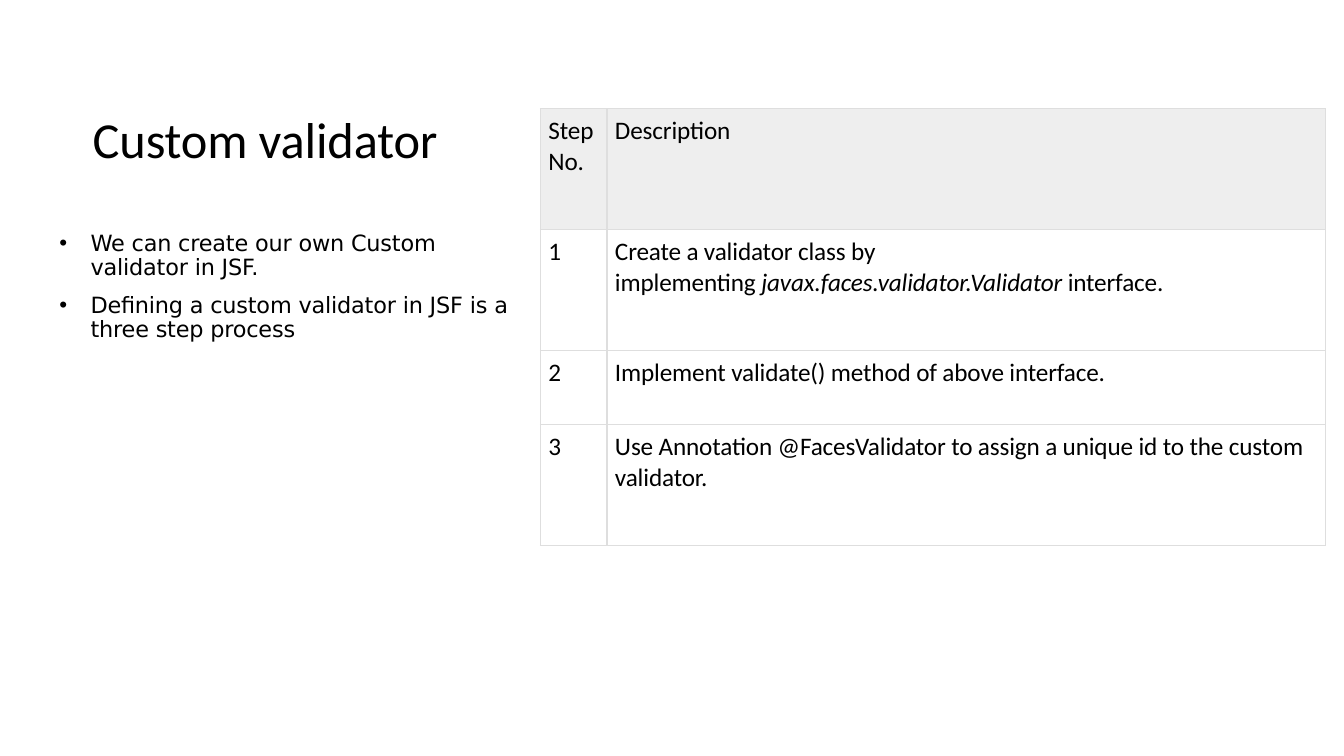
import pptx
import pptx.util
import pptx.dml.color
import pptx.enum.text
import pptx.oxml
import pptx.oxml.ns

PX = 9144
BLACK = pptx.dml.color.RGBColor(0x00, 0x00, 0x00)
WHITE = pptx.dml.color.RGBColor(0xFF, 0xFF, 0xFF)
HEADER_GREY = pptx.dml.color.RGBColor(0xEE, 0xEE, 0xEE)
BORDER_GREY = pptx.dml.color.RGBColor(0xDE, 0xDE, 0xDE)
NAMESPACE = pptx.oxml.ns.nsdecls("a")


def add_text(paragraph, text, font_name, size, italic=False):
    run = paragraph.add_run()
    run.text = text
    font_format = {"name": font_name, "size": pptx.util.Pt(size), "italic": italic}
    for name, value in font_format.items():
        setattr(run.font, name, value)
    run.font.color.rgb = BLACK
    run.font._element.set("spc", "-10")


def add_text_box(left, top, width, height, frame_format):
    box = slide.shapes.add_textbox(left * PX, top * PX, width * PX, height * PX)
    for name, value in frame_format.items():
        setattr(box.text_frame, name, value)
    return box.text_frame


presentation = pptx.Presentation()
presentation.slide_width = 1333 * PX
presentation.slide_height = 750 * PX
slide = presentation.slides.add_slide(presentation.slide_layouts[6])

title_format = {
    "word_wrap": True,
    "vertical_anchor": pptx.enum.text.MSO_ANCHOR.MIDDLE,
    "margin_left": 0,
    "margin_right": 0,
    "margin_top": 1 * PX,
    "margin_bottom": 0,
}
title = add_text_box(92, 106, 430, 62, title_format)
add_text(title.paragraphs[0], "Custom validator", "Calibri", 36)

points = [
    "We can create our own Custom validator in JSF.",
    "Defining a custom validator in JSF is a three step process",
]
body = add_text_box(47, 225, 474, 417, {"word_wrap": True})
for index, point in enumerate(points):
    paragraph = body.add_paragraph() if index else body.paragraphs[0]
    paragraph.line_spacing = 0.9
    if index:
        paragraph.space_before = pptx.util.Pt(10)
    properties = paragraph._p.get_or_add_pPr()
    properties.set("marL", str(33 * PX))
    properties.set("indent", str(-31 * PX))
    for xml in ('<a:buFont {} typeface="Arial"/>', '<a:buChar {} char="•"/>'):
        properties.append(pptx.oxml.parse_xml(xml.format(NAMESPACE)))
    add_text(paragraph, point, "DejaVu Sans", 16)

steps = [
    ("Step No.", [["Description"]]),
    ("1", [["Create a validator class by"],
           ["implementing ", "javax.faces.validator.Validator ", "interface."]]),
    ("2", [["Implement validate() method of above interface."]]),
    ("3", [["Use Annotation @FacesValidator to assign a unique id to the custom validator."]]),
]
column_widths = [66, 713]
row_heights = [120, 120, 73, 120]
table = slide.shapes.add_table(
    len(steps), 2, 536 * PX, 108 * PX, sum(column_widths) * PX, sum(row_heights) * PX
).table
for column, width in zip(table.columns, column_widths):
    column.width = width * PX
for row, height in zip(table.rows, row_heights):
    row.height = height * PX

cell_format = {"margin_left": 8 * PX, "margin_right": 0, "margin_top": 7 * PX, "margin_bottom": 0}
for row_index, (number, description) in enumerate(steps):
    for column_index, lines in enumerate([[[number]], description]):
        cell = table.cell(row_index, column_index)
        for name, value in cell_format.items():
            setattr(cell, name, value)
        for line_index, pieces in enumerate(lines):
            frame = cell.text_frame
            paragraph = frame.add_paragraph() if line_index else frame.paragraphs[0]
            for piece in pieces:
                add_text(paragraph, piece, "Calibri", 18, piece.startswith("javax"))
        cell_properties = cell._tc.get_or_add_tcPr()
        for side in ("lnL", "lnR", "lnT", "lnB"):
            cell_properties.append(pptx.oxml.parse_xml(
                f'<a:{side} {NAMESPACE} w="12700"><a:solidFill>'
                f'<a:srgbClr val="{BORDER_GREY}"/></a:solidFill></a:{side}>'
            ))
        cell.fill.solid()
        cell.fill.fore_color.rgb = WHITE if row_index else HEADER_GREY

presentation.save("out.pptx")
